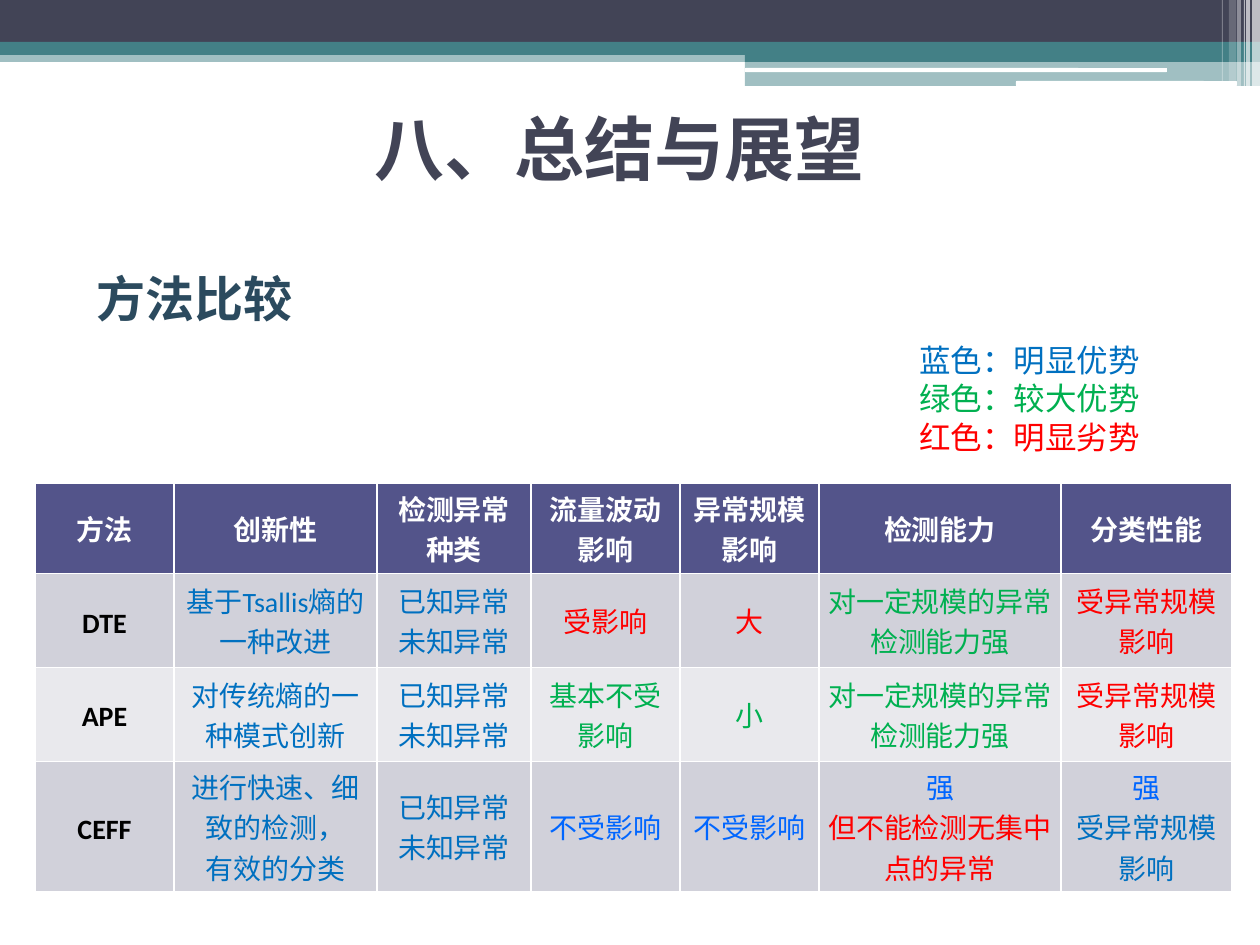
"""Build the method comparison slide of the summary chapter."""
import pptx
import pptx.dml.color
import pptx.enum.shapes
import pptx.enum.text
import pptx.oxml
import pptx.oxml.ns
import pptx.util

RGBColor = pptx.dml.color.RGBColor
Pt = pptx.util.Pt
MIDDLE = pptx.enum.text.MSO_ANCHOR.MIDDLE
CENTER = pptx.enum.text.PP_ALIGN.CENTER
RECT = pptx.enum.shapes.MSO_SHAPE.RECTANGLE
ROUND = pptx.enum.shapes.MSO_SHAPE.ROUNDED_RECTANGLE

WHITE = RGBColor(0xFF, 0xFF, 0xFF)
BLACK = RGBColor(0x00, 0x00, 0x00)
NAVY = RGBColor(0x42, 0x44, 0x56)
TEAL = RGBColor(0x43, 0x80, 0x86)
SLATE = RGBColor(0x2B, 0x4A, 0x5E)
BLUE = RGBColor(0x00, 0x70, 0xC0)
BRIGHT = RGBColor(0x00, 0x66, 0xFF)
GREEN = RGBColor(0x00, 0xB0, 0x50)
RED = RGBColor(0xFF, 0x00, 0x00)
HEADER = RGBColor(0x53, 0x54, 0x8A)
DARK_BAND = RGBColor(0xD1, 0xD1, 0xDA)
LIGHT_BAND = RGBColor(0xE9, 0xE9, 0xED)

SCALE = 914400 / 126


def px(*lengths):
    return [round(length * SCALE) for length in lengths]


def write(frame, lines, size, font, bold=False, align=None, leading=None):
    for index, (text, color) in enumerate(lines):
        para = frame.paragraphs[0] if index == 0 else frame.add_paragraph()
        para.alignment = align
        para.line_spacing = leading
        span = para.add_run()
        span.text = text
        span.font.size = Pt(size)
        span.font.name = font
        span.font.bold = bold
        span.font.color.rgb = color


deck = pptx.Presentation()
deck.slide_width, deck.slide_height = px(1260, 945)
page = deck.slides.add_slide(deck.slide_layouts[5])

bands = [
    (RECT, 0, 50, 1260, 12, TEAL, 50),
    (RECT, 0, 0, 1260, 42, NAVY, 100),
    (RECT, 0, 42, 1260, 13, TEAL, 100),
    (RECT, 745, 49, 515, 13, TEAL, 100),
    (RECT, 745, 62, 515, 24, TEAL, 50),
    (ROUND, 745, 68, 422, 4, WHITE, 100),
    (ROUND, 1016, 81, 221, 5, WHITE, 100),
    (RECT, 1252, 0, 8, 86, WHITE, 65),
    (RECT, 1246, 0, 4, 86, WHITE, 65),
    (RECT, 1244, 0, 1, 86, WHITE, 60),
    (RECT, 1237, 0, 4, 86, WHITE, 40),
    (RECT, 1229, 0, 7, 81, WHITE, 20),
    (RECT, 1222, 0, 1, 81, WHITE, 30),
]
for kind, left, top, width, height, color, opacity in bands:
    band = page.shapes.add_shape(kind, *px(left, top, width, height))
    band.shadow.inherit = False
    band.line.fill.background()
    band.fill.solid()
    band.fill.fore_color.rgb = color
    if opacity < 100:
        paint = band.fill._xPr.find(".//" + pptx.oxml.ns.qn("a:srgbClr"))
        alpha = pptx.oxml.parse_xml(
            f'<a:alpha {pptx.oxml.ns.nsdecls("a")} val="{opacity * 1000}"/>')
        paint.append(alpha)

title = page.shapes.title
title.left, title.top, title.width, title.height = px(84, 86, 1071, 122)
title.text_frame.auto_size = pptx.enum.text.MSO_AUTO_SIZE.NONE
title.text_frame.vertical_anchor = MIDDLE
write(title.text_frame, [("八、总结与展望", NAVY)], 40, "DejaVu Sans", True, CENTER)

known = [("已知异常", BLUE), ("未知异常", BLUE)]
capable = [("对一定规模的异常检测能力强", GREEN)]
limited = [("受异常规模影响", RED)]
unaffected = [("不受影响", BRIGHT)]
headings = ["方法", "创新性", "检测异常种类", "流量波动影响", "异常规模影响",
            "检测能力", "分类性能"]
rows = [
    [[(heading, WHITE)] for heading in headings],
    [[("DTE", BLACK)], [("基于Tsallis熵的一种改进", BLUE)], known,
     [("受影响", RED)], [("大", RED)], capable, limited],
    [[("APE", BLACK)], [("对传统熵的一种模式创新", BLUE)], known,
     [("基本不受影响", GREEN)], [("小", GREEN)], capable, limited],
    [[("CEFF", BLACK)],
     [("进行快速、细致的检测，", BLUE), ("有效的分类", BLUE)], known,
     unaffected, unaffected,
     [("强", BRIGHT), ("但不能检测无集中点的异常", RED)],
     [("强", BRIGHT), ("受异常规模影响", BLUE)]],
]
widths = [139, 203, 154, 149, 139, 242, 171]
heights = [90, 94, 94, 130]
fills = [HEADER, DARK_BAND, LIGHT_BAND, DARK_BAND]

table = page.shapes.add_table(
    len(rows), len(widths), *px(35, 483, sum(widths), sum(heights))).table
for column, width in zip(table.columns, px(*widths)):
    column.width = width
for r, (row, height) in enumerate(zip(rows, px(*heights))):
    table.rows[r].height = height
    for c, lines in enumerate(row):
        cell = table.cell(r, c)
        cell.fill.solid()
        cell.fill.fore_color.rgb = fills[r]
        cell.vertical_anchor = MIDDLE
        cell.margin_left, cell.margin_right = px(9, 9)
        cell.margin_top, cell.margin_bottom = px(5, 5)
        write(cell.text_frame, lines, 16, "Calibri", r == 0 or c == 0, CENTER, Pt(23))

legend = [("蓝色：明显优势", BLUE), ("绿色：较大优势", GREEN), ("红色：明显劣势", RED)]
notes = [
    ((84, 262, 268, 72), [("方法比较", SLATE)], 28, "Arial", True, Pt(34)),
    ((907, 334, 267, 127), legend, 18, "Calibri", False, Pt(22)),
]
for place, lines, size, font, bold, leading in notes:
    box = page.shapes.add_textbox(*px(*place))
    box.text_frame.word_wrap = True
    write(box.text_frame, lines, size, font, bold, leading=leading)

deck.save("out.pptx")
